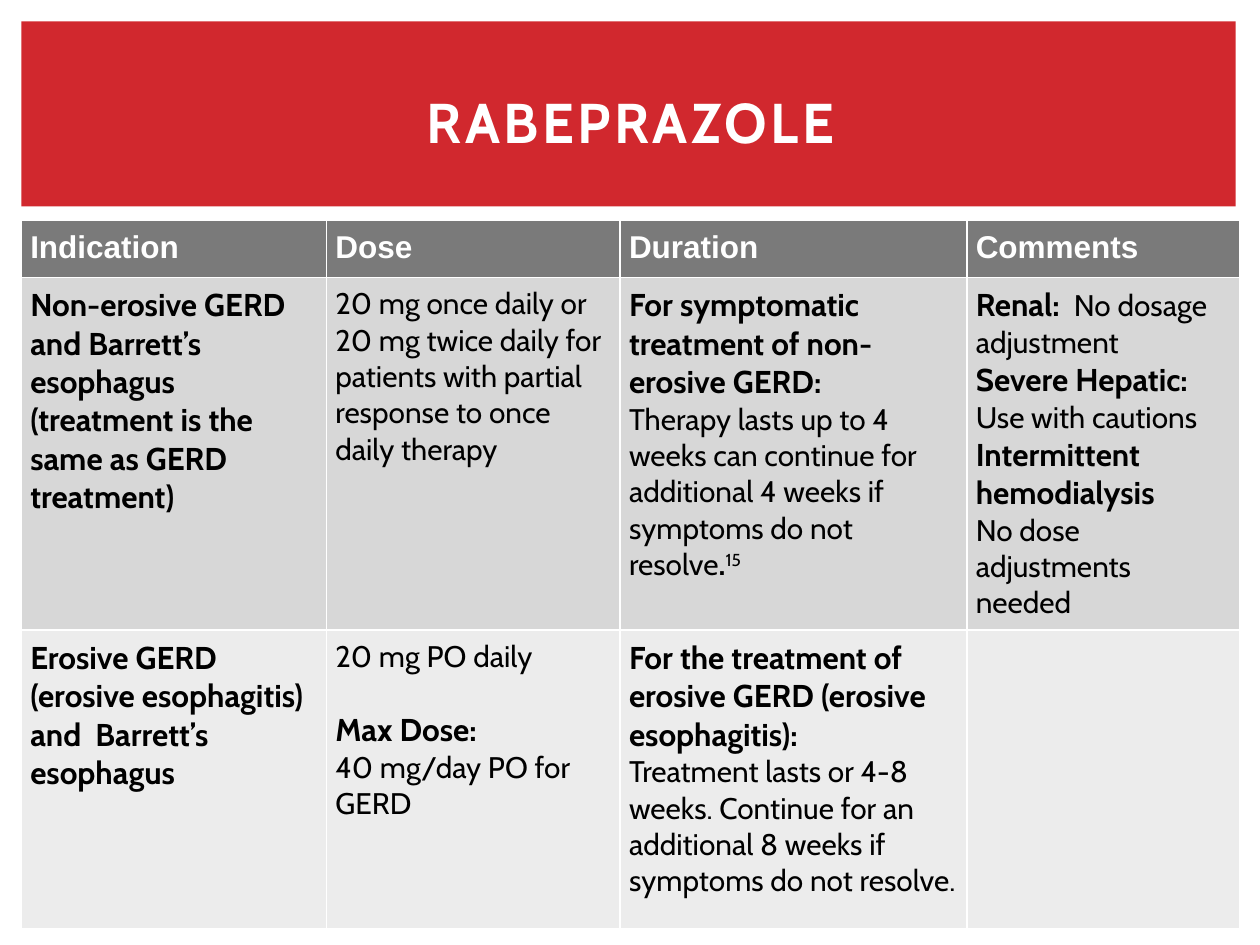
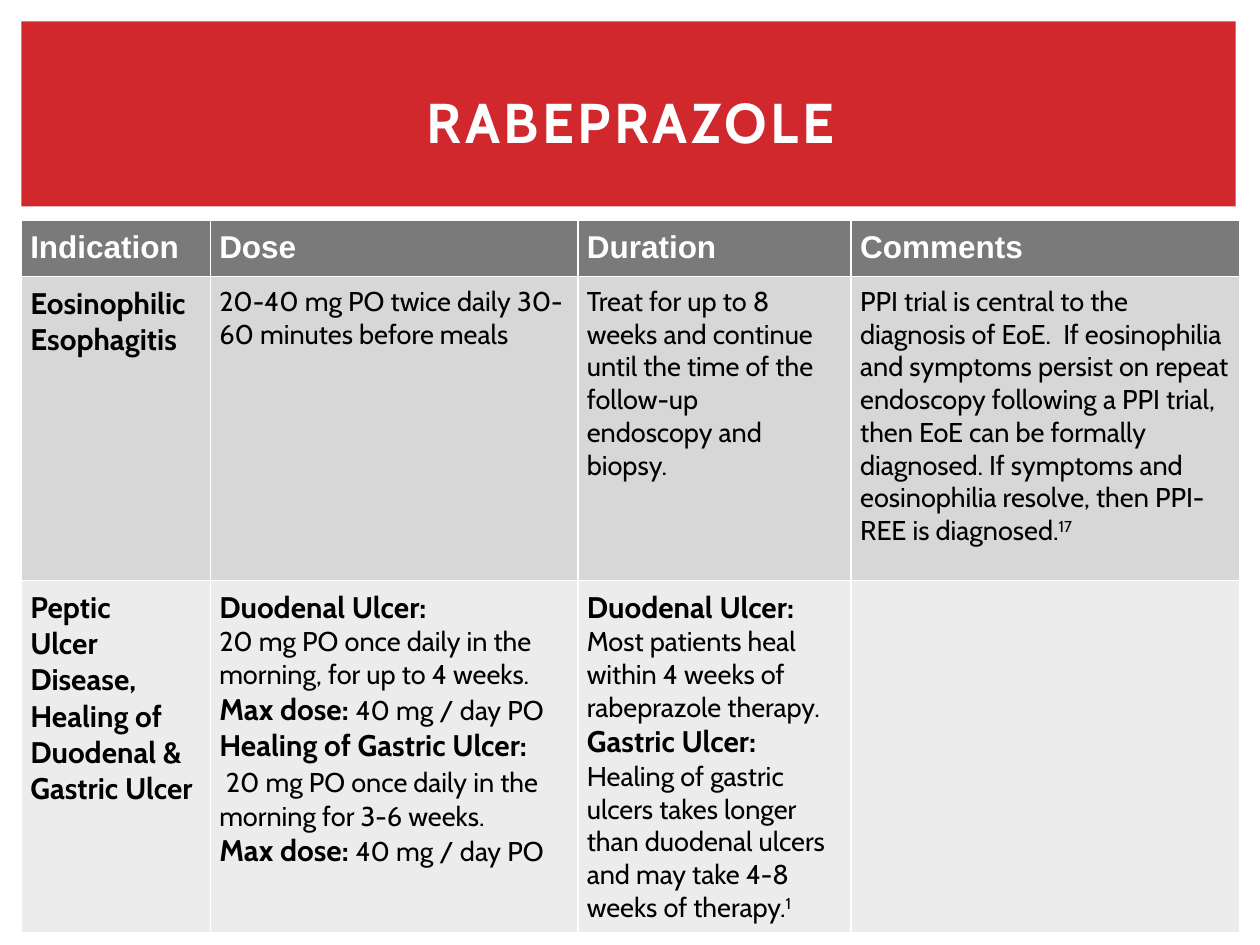
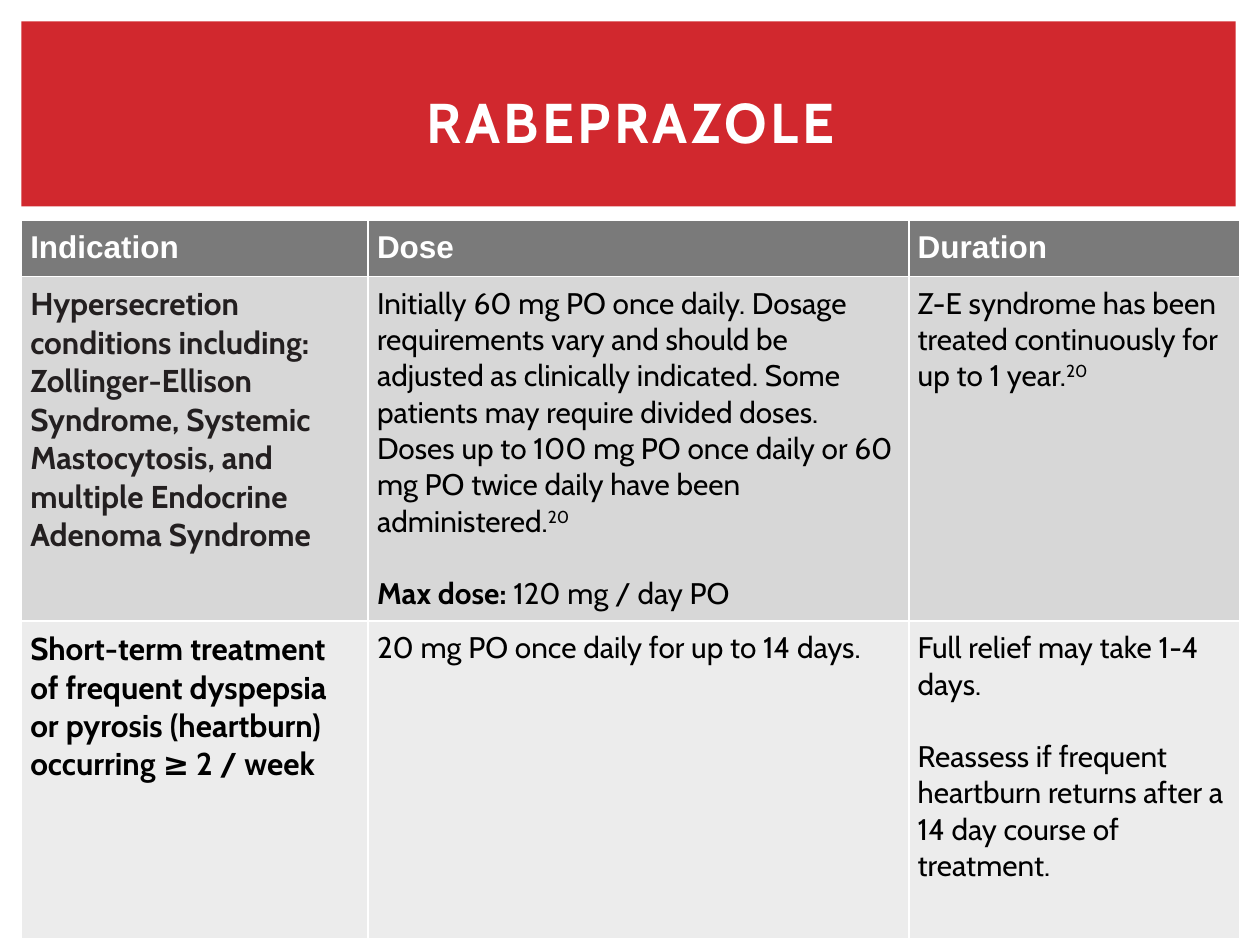
"""Build three rabeprazole dosing slides, each with a red title band and a dosing table."""
from lxml import etree
from pptx import Presentation
from pptx.dml.color import RGBColor
from pptx.enum.shapes import MSO_SHAPE
from pptx.enum.text import MSO_ANCHOR, PP_ALIGN
from pptx.oxml.ns import qn
from pptx.util import Cm, Pt

RECTANGLE = MSO_SHAPE.RECTANGLE
MIDDLE = MSO_ANCHOR.MIDDLE
CENTER = PP_ALIGN.CENTER

COLORS = {
    "band": "D1282E",
    "white": "FFFFFF",
    "black": "000000",
    "ink": "231F20",
    "header": "7A7A7A",
    "first": "D7D7D7",
    "second": "ECECEC",
}
ROW_FILLS = [COLORS["header"], COLORS["first"], COLORS["second"]]
BLANK_LINE = Pt(20.65)
INSET = Cm(0.18)

dosing_slides = [
    {
        "columns": [6.15, 5.92, 6.99, 5.5],
        "rows": [1.14, 7.11, 6.02],
        "head_size": 18,
        "body_size": 17,
        "headers": ["Indication", "Dose", "Duration", "Comments"],
        "cells": [
            [
                [[("head", "Non-erosive GERD and Barrett’s esophagus (treatment is the same as GERD treatment)")]],
                [[("body", "20 mg once daily or 20 mg twice daily for patients with partial response to once daily therapy")]],
                [
                    [("head", "For symptomatic treatment of non-erosive GERD:")],
                    [
                        ("body", "Therapy lasts up to 4 weeks can continue for additional 4 weeks if symptoms do not resolve"),
                        ("strong", "."),
                        ("note", "15"),
                    ],
                ],
                [
                    [("head", "Renal:  "), ("body", "No dosage adjustment")],
                    [("head", "Severe Hepatic: "), ("body", "Use with cautions")],
                    [("head", "Intermittent hemodialysis")],
                    [("body", "No dose adjustments needed")],
                ],
            ],
            [
                [
                    [("head", "Erosive GERD")],
                    [("head", "(erosive esophagitis)")],
                    [("head", "and  Barrett’s esophagus")],
                ],
                [
                    [("body", "20 mg PO daily")],
                    [("gap", ""), ("head", "Max Dose:")],
                    [("body", "40 mg/day PO for GERD")],
                ],
                [
                    [("head", "For the treatment of erosive GERD (erosive esophagitis):")],
                    [("body", "Treatment lasts or 4-8 weeks. Continue for an additional 8 weeks if symptoms do not resolve.")],
                ],
                [],
            ],
        ],
    },
    {
        "columns": [3.81, 7.41, 5.51, 7.83],
        "rows": [1.1, 6.13, 7.11],
        "head_size": 17,
        "body_size": 15.5,
        "headers": ["Indication", "Dose", "Duration", "Comments"],
        "cells": [
            [
                [[("head", "Eosinophilic Esophagitis")]],
                [[("body", "20-40 mg PO twice daily 30-60 minutes before meals")]],
                [
                    [("body", "Treat for up to 8 weeks and continue until the time of the follow-up")],
                    [("body", "endoscopy and biopsy.")],
                ],
                [
                    [
                        ("body", "PPI trial is central to the diagnosis of EoE.  If eosinophilia and symptoms persist on "
                                 "repeat endoscopy following a PPI trial, then EoE can be formally diagnosed. If symptoms "
                                 "and eosinophilia resolve, then PPI-REE is diagnosed."),
                        ("note", "17"),
                    ],
                ],
            ],
            [
                [
                    [("head", "Peptic")],
                    [("head", "Ulcer Disease, Healing of Duodenal & Gastric Ulcer")],
                ],
                [
                    [("head", "Duodenal Ulcer:")],
                    [("body", "20 mg PO once daily in the morning, for up to 4 weeks.")],
                    [("head", "Max dose: "), ("body", "40 mg / day PO")],
                    [("head", "Healing of Gastric Ulcer:")],
                    [("head", " "), ("body", "20 mg PO once daily in the morning for 3-6 weeks.")],
                    [("head", "Max dose: "), ("body", "40 mg / day PO")],
                ],
                [
                    [("head", "Duodenal Ulcer:")],
                    [("body", "Most patients heal within 4 weeks of rabeprazole therapy.")],
                    [("head", "Gastric Ulcer:")],
                    [
                        ("body", "Healing of gastric ulcers takes longer than duodenal ulcers and may take 4-8 weeks of therapy."),
                        ("note", "1"),
                    ],
                ],
                [],
            ],
        ],
    },
    {
        "columns": [6.99, 10.9, 6.67],
        "rows": [1.09, 6.95, 6.4],
        "head_size": 18,
        "body_size": 17,
        "headers": ["Indication", "Dose", "Duration"],
        "cells": [
            [
                [
                    [("ink", "Hypersecretion conditions including:")],
                    [("ink", "Zollinger-Ellison Syndrome, Systemic Mastocytosis, and multiple Endocrine Adenoma Syndrome")],
                ],
                [
                    [
                        ("body", "Initially 60 mg PO once daily. Dosage requirements vary and should be adjusted as "
                                 "clinically indicated. Some patients may require divided doses. Doses up to 100 mg PO "
                                 "once daily or 60 mg PO twice daily have been administered."),
                        ("note", "20"),
                    ],
                    [("gap", ""), ("strong", "Max dose: "), ("body", "120 mg / day PO")],
                ],
                [
                    [
                        ("body", "Z-E syndrome has been treated continuously for up to 1 year."),
                        ("note", "20"),
                    ],
                ],
            ],
            [
                [[("head", "Short-term treatment of frequent dyspepsia or pyrosis (heartburn) occurring ≥ 2 / week")]],
                [[("body", "20 mg PO once daily for up to 14 days.")]],
                [
                    [("body", "Full relief may take 1-4 days.")],
                    [("gap", ""), ("body", "Reassess if frequent heartburn returns after a 14 day course of treatment.")],
                ],
            ],
        ],
    },
]


def add_run(paragraph, text, size, color, bold, font="Cabin"):
    """Add one formatted run and return it."""
    run = paragraph.add_run()
    run.text = text
    run.font.name = font
    run.font.size = Pt(size)
    run.font.bold = bold
    run.font.color.rgb = RGBColor.from_string(color)
    return run


def style_cell(cell, fill):
    """Set the fill, the insets and the thin white borders of a cell."""
    cell.fill.solid()
    cell.fill.fore_color.rgb = RGBColor.from_string(fill)
    cell.margin_left = cell.margin_right = cell.margin_top = cell.margin_bottom = INSET
    properties = cell._tc.get_or_add_tcPr()
    for position, side in enumerate(["a:lnL", "a:lnR", "a:lnT", "a:lnB"]):
        border = etree.Element(qn(side), w=str(Pt(1)))
        solid = etree.SubElement(border, qn("a:solidFill"))
        etree.SubElement(solid, qn("a:srgbClr"), val=COLORS["white"])
        properties.insert(position, border)


prs = Presentation()
prs.slide_width = Cm(25.4)
prs.slide_height = Cm(19.05)

for dosing in dosing_slides:
    slide = prs.slides.add_slide(prs.slide_layouts[6])

    band = slide.shapes.add_shape(RECTANGLE, Cm(0.43), Cm(0.43), Cm(24.48), Cm(3.73))
    band.shadow.inherit = False
    band.fill.solid()
    band.fill.fore_color.rgb = RGBColor.from_string(COLORS["band"])
    band.line.fill.background()

    title = slide.shapes.add_textbox(Cm(1.07), Cm(0.99), Cm(23.29), Cm(2.92))
    title.text_frame.word_wrap = True
    title.text_frame.vertical_anchor = MIDDLE
    drug = title.text_frame.paragraphs[0]
    drug.alignment = CENTER
    drug_run = add_run(drug, "RABEPRAZOLE", 32, COLORS["white"], True)
    drug_run._r.get_or_add_rPr().set("spc", "200")

    columns, rows = dosing["columns"], dosing["rows"]
    table = slide.shapes.add_table(
        len(rows), len(columns), Cm(0.43), Cm(4.45), Cm(sum(columns)), Cm(sum(rows))
    ).table
    for column, width in zip(table.columns, columns):
        column.width = Cm(width)
    for row, height, fill in zip(table.rows, rows, ROW_FILLS):
        row.height = Cm(height)
        for cell in row.cells:
            style_cell(cell, fill)

    for column_index, header in enumerate(dosing["headers"]):
        heading = table.cell(0, column_index).text_frame.paragraphs[0]
        add_run(heading, header, 18, COLORS["white"], True, "Arial")

    for row_index, row_content in enumerate(dosing["cells"], start=1):
        for column_index, lines in enumerate(row_content):
            frame = table.cell(row_index, column_index).text_frame
            for line_index, pieces in enumerate(lines):
                paragraph = frame.add_paragraph() if line_index else frame.paragraphs[0]
                for role, text in pieces:
                    if role == "gap":
                        paragraph.space_before = BLANK_LINE
                        continue
                    size = dosing["head_size"] if role in ("head", "ink") else dosing["body_size"]
                    color = COLORS["ink"] if role == "ink" else COLORS["black"]
                    run = add_run(paragraph, text, size, color, role in ("head", "ink", "strong"))
                    if role == "note":
                        run._r.get_or_add_rPr().set("baseline", "30000")

prs.save("out.pptx")
